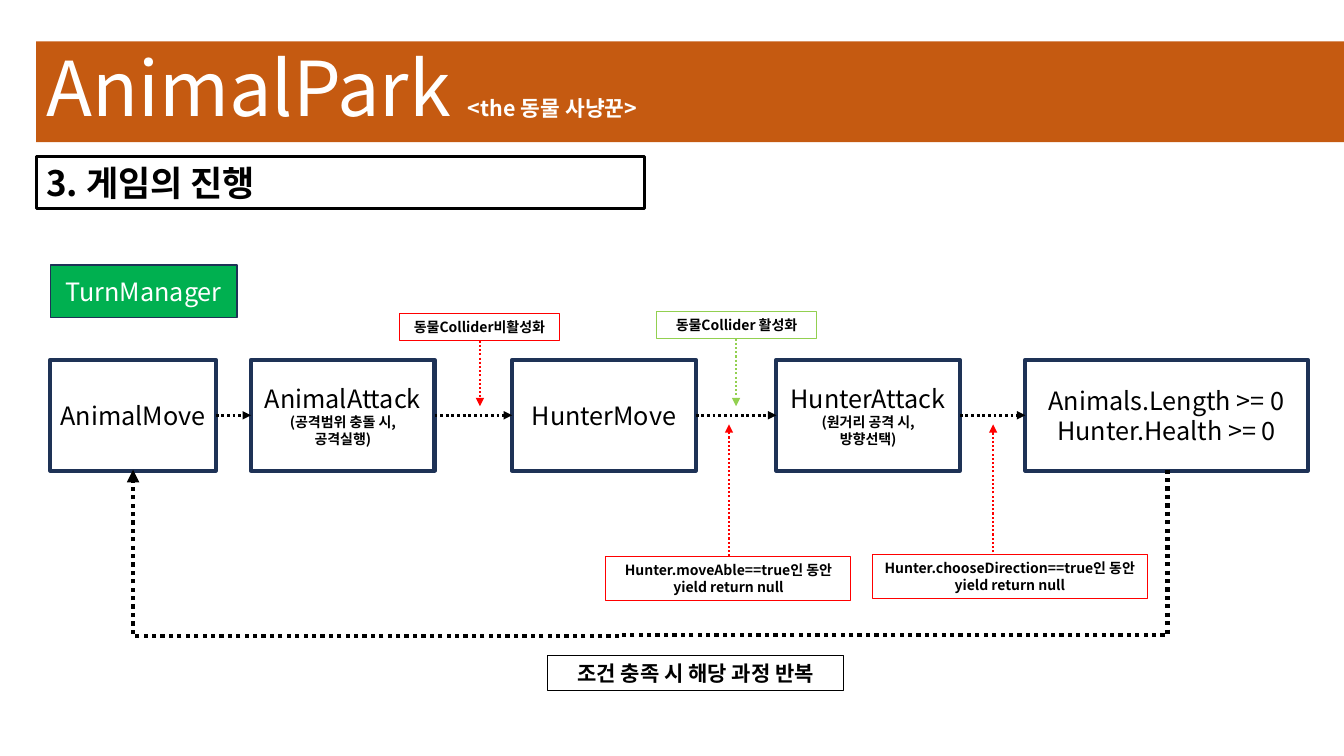
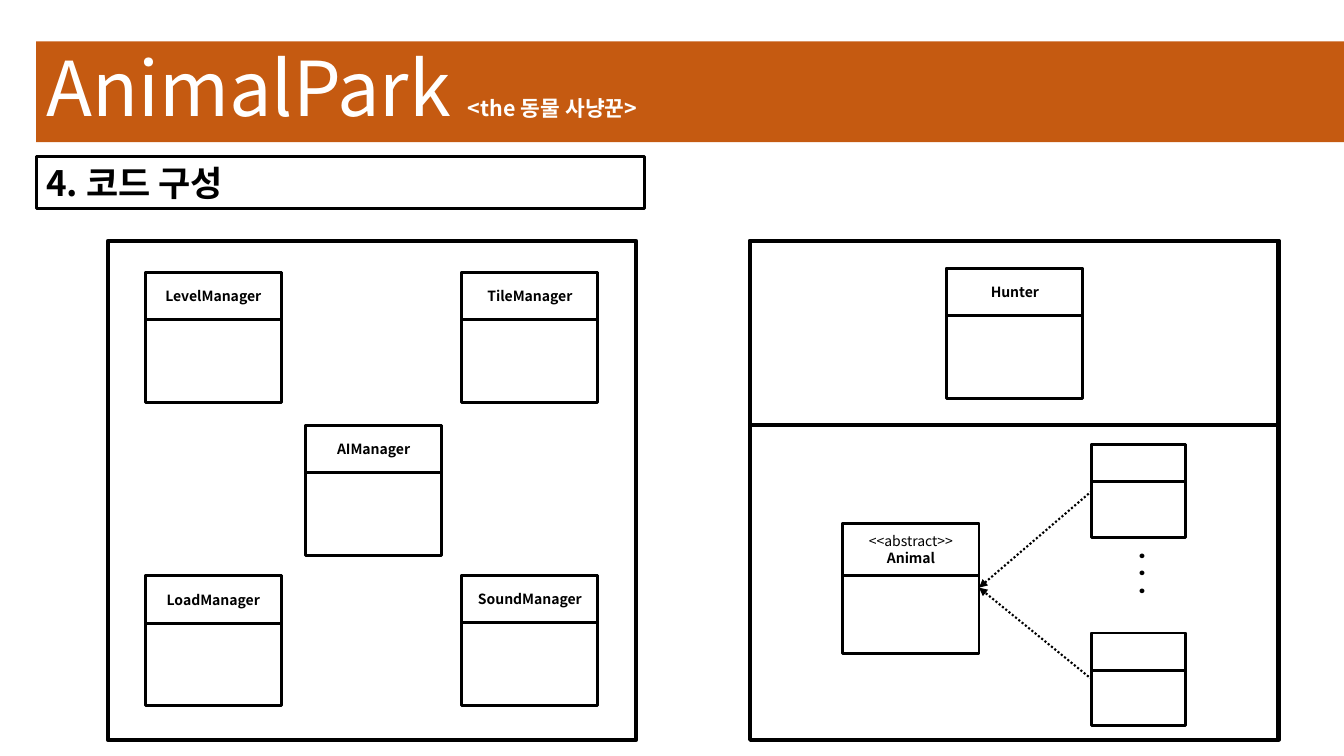
from itertools import pairwise

from lxml.etree import SubElement
from pptx import Presentation
from pptx.dml.color import RGBColor
from pptx.enum.dml import MSO_LINE
from pptx.enum.shapes import MSO_CONNECTOR, MSO_SHAPE
from pptx.enum.text import MSO_ANCHOR, PP_ALIGN
from pptx.oxml.ns import qn
from pptx.util import Inches, Pt

FONT = "Noto Sans CJK KR"
BLACK = RGBColor(0x00, 0x00, 0x00)
WHITE = RGBColor(0xFF, 0xFF, 0xFF)
ORANGE = RGBColor(0xC5, 0x5A, 0x11)
NAVY = RGBColor(0x1E, 0x32, 0x56)
GREEN = RGBColor(0x00, 0xB0, 0x50)
LIME = RGBColor(0x92, 0xD0, 0x50)
RED = RGBColor(0xFF, 0x00, 0x00)


def add_box(page, area, text="", size=10, bold=False, color=BLACK, detail="",
            align=PP_ALIGN.CENTER, anchor=MSO_ANCHOR.MIDDLE,
            fill=None, line=BLACK, weight=2.0):
    """Add a rectangle; detail holds small bold lines, or the title's suffix."""
    box = page.shapes.add_shape(MSO_SHAPE.RECTANGLE, *map(Inches, area))
    box.shadow.inherit = False
    if fill is None:
        box.fill.background()
    else:
        box.fill.solid()
        box.fill.fore_color.rgb = fill
    if line is None:
        box.line.fill.background()
    else:
        box.line.color.rgb = line
        box.line.width = Pt(weight)

    frame = box.text_frame
    frame.word_wrap = True
    frame.vertical_anchor = anchor
    if align == PP_ALIGN.CENTER:
        frame.margin_left = frame.margin_right = 0
    lines = [(words, size, bold) for words in text.split("\n") if words]
    lines += [(words, 10, True) for words in detail.split("\n") if words]
    for number, (words, points, heavy) in enumerate(lines):
        para = frame.paragraphs[0] if number == 0 else frame.add_paragraph()
        para.alignment = align
        span = para.add_run()
        span.text = words
        span.font.name = FONT
        span.font.size = Pt(points)
        span.font.bold = heavy
        span.font.color.rgb = color
        SubElement(span.font._element, qn("a:ea"), typeface=FONT)
    return box


def add_line(page, start, end, color=BLACK, weight=2.0, head=True,
             kind=MSO_CONNECTOR.STRAIGHT):
    """Add a dotted connector, with an arrowhead at its end."""
    connector = page.shapes.add_connector(kind, *map(Inches, start + end))
    connector.line.color.rgb = color
    connector.line.width = Pt(weight)
    connector.line.dash_style = MSO_LINE.ROUND_DOT
    properties = connector.element.spPr
    if head:
        SubElement(properties.find(qn("a:ln")), qn("a:tailEnd"), type="triangle")
    SubElement(properties, qn("a:effectLst"))
    return connector


deck = Presentation()
deck.slide_width = Inches(13.33)
deck.slide_height = Inches(7.5)

# Shared title band and heading
pages = []
for heading in ("3. 게임의 진행", "4. 코드 구성"):
    page = deck.slides.add_slide(deck.slide_layouts[6])
    band = add_box(page, (0.36, 0.41, 12.97, 1), "AnimalPark ", size=54,
                   color=WHITE, align=PP_ALIGN.LEFT, fill=ORANGE, line=None)
    para = band.text_frame.paragraphs[0]
    para.line_spacing = 0.9
    span = para.add_run()
    span.text = "<the 동물 사냥꾼>"
    span.font.name = FONT
    span.font.size = Pt(15.3)
    span.font.bold = True
    span.font.color.rgb = WHITE
    SubElement(span.font._element, qn("a:ea"), typeface=FONT)
    add_box(page, (0.36, 1.55, 6.03, 0.52), heading, size=25, bold=True,
            align=PP_ALIGN.LEFT, anchor=MSO_ANCHOR.TOP)
    pages.append(page)
flow_page, code_page = pages

# Turn steps, joined left to right
STEP_TOP, STEP_HEIGHT = 3.57, 1.1
steps = [
    (0.5, 1.64, "AnimalMove", ""),
    (2.49, 1.82, "AnimalAttack", "(공격범위 충돌 시,\n공격실행)"),
    (5.08, 1.82, "HunterMove", ""),
    (7.7, 1.82, "HunterAttack", "(원거리 공격 시,\n방향선택)"),
    (10.17, 2.8, "Animals.Length >= 0\nHunter.Health >= 0", ""),
]
for left, width, text, detail in steps:
    add_box(flow_page, (left, STEP_TOP, width, STEP_HEIGHT), text, size=18,
            detail=detail, line=NAVY, weight=3)
middle = STEP_TOP + STEP_HEIGHT / 2
for (left, width, *_), (next_left, *_) in pairwise(steps):
    add_line(flow_page, (left + width, middle), (next_left, middle))
add_box(flow_page, (0.5, 2.63, 1.85, 0.52), "TurnManager", size=18,
        color=WHITE, fill=GREEN, line=NAVY, weight=1)

# Notes and their arrows
notes = [
    ((3.96, 3.11, 1.59, 0.27), "동물Collider비활성화", RED, 4.76, 3.38, 4.03),
    ((6.51, 3.09, 1.59, 0.27), "동물Collider 활성화", LIME, 7.3, 3.36, 4.03),
    ((6.01, 5.52, 2.43, 0.44), "Hunter.moveAble==true인 동안\nyield return null",
     RED, 7.23, 5.52, 4.21),
    ((8.65, 5.5, 2.73, 0.44), "Hunter.chooseDirection==true인 동안\nyield return null",
     RED, 9.85, 5.48, 4.21),
]
for area, text, color, x, start, end in notes:
    add_box(flow_page, area, text, bold=True, anchor=MSO_ANCHOR.TOP,
            line=color, weight=0.75)
    add_line(flow_page, (x, start), (x, end), color, 1.5)

# Loop back to the first step: two turned elbows
elbows = [
    ((8.05, 2.77), (9.69, 8.19), 90, False),
    ((1.32, 4.66), (6.14, 6.31), 180, True),
]
for start, end, degrees, head in elbows:
    elbow = add_line(flow_page, start, end, weight=3, head=head,
                     kind=MSO_CONNECTOR.ELBOW)
    properties = elbow.element.spPr
    properties.find(qn("a:prstGeom")).set("prst", "bentConnector2")
    properties.find(qn("a:xfrm")).set("rot", str(degrees * 60000))
add_box(flow_page, (5.43, 6.5, 2.94, 0.35), "조건 충족 시 해당 과정 반복",
        size=15, bold=True, anchor=MSO_ANCHOR.TOP, weight=0.75)

# Code groups
for area in ((1.07, 2.39, 5.24, 4.95), (7.44, 2.39, 5.24, 4.95),
             (7.44, 2.39, 5.24, 1.83)):
    add_box(code_page, area, weight=3)

# Class boxes: outline and name compartment
CLASS_SIZE, CHILD_SIZE = (1.35, 1.29), (0.93, 0.92)
classes = [
    (1.44, 2.7, CLASS_SIZE, 0.47, "", "LevelManager"),
    (4.58, 2.7, CLASS_SIZE, 0.47, "", "TileManager"),
    (3.03, 4.22, CLASS_SIZE, 0.47, "", "AIManager"),
    (1.44, 5.71, CLASS_SIZE, 0.48, "", "LoadManager"),
    (4.58, 5.71, CLASS_SIZE, 0.47, "", "SoundManager"),
    (9.39, 2.66, CLASS_SIZE, 0.47, "", "Hunter"),
    (8.36, 5.19, CLASS_SIZE, 0.52, "<<abstract>>", "Animal"),
    (10.83, 4.41, CHILD_SIZE, 0.37, "", ""),
    (10.83, 6.28, CHILD_SIZE, 0.37, "", ""),
]
for left, top, (width, height), name_height, stereotype, name in classes:
    add_box(code_page, (left, top, width, height))
    add_box(code_page, (left, top, width, name_height), stereotype, detail=name)

# Inheritance arrows and the vertical ellipsis
for child_middle in (4.87, 6.74):
    add_line(code_page, (10.83, child_middle), (9.71, 5.83), weight=1.5)
dots = add_box(code_page, (11.09, 5.37, 0.62, 0.9), ". . .", size=25,
               anchor=MSO_ANCHOR.TOP, line=None)
dots.element.find(".//" + qn("a:bodyPr")).set("vert", "eaVert")
dots.text_frame.margin_left = dots.text_frame.margin_right = Inches(0.1)

deck.save("out.pptx")
